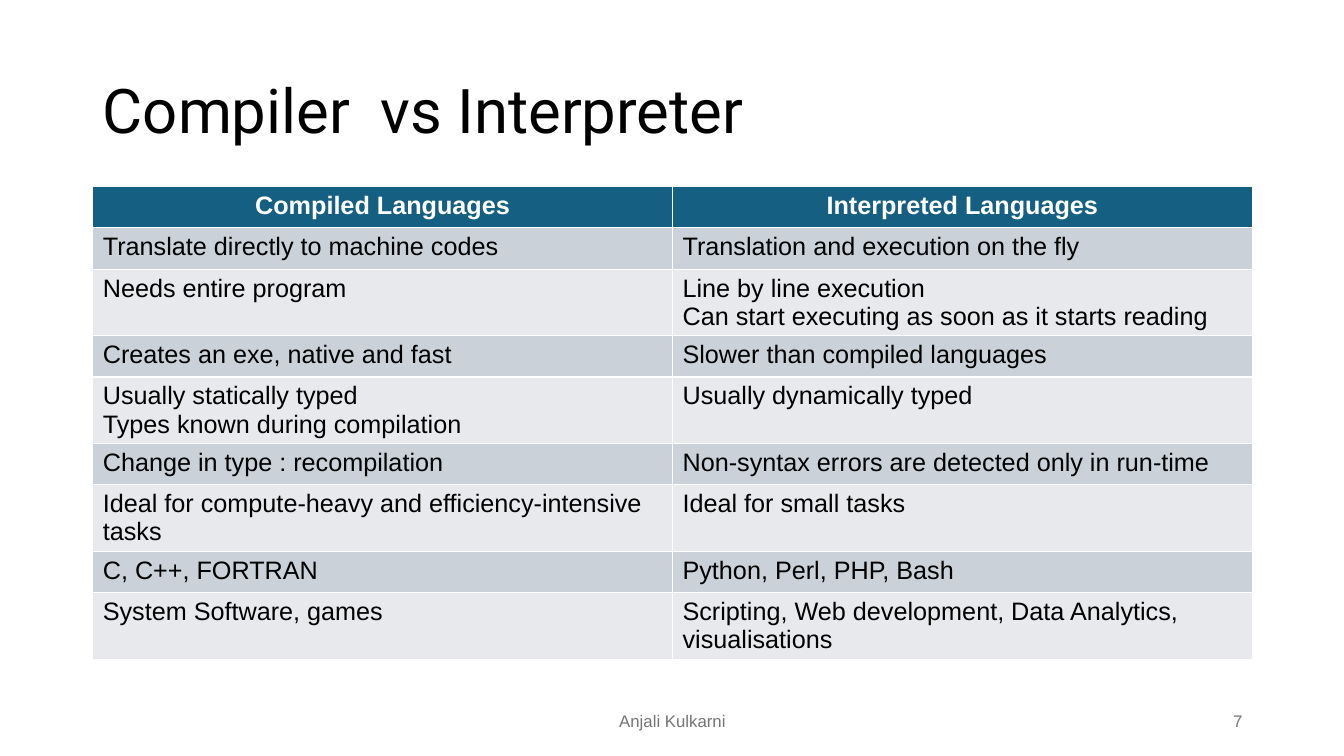
from pptx import Presentation
from pptx.dml.color import RGBColor as RGB
from pptx.enum.text import MSO_ANCHOR as ANCHOR, PP_ALIGN as ALIGN
from pptx.util import Pt

PX = 9144
COLORS = {
    "header": "156082",
    "odd": "CAD1D8",
    "even": "E7E9EC",
    "white": "FFFFFF",
    "black": "000000",
    "gray": "757575",
}
ROWS = [
    ("Compiled Languages", "Interpreted Languages"),
    ("Translate directly to machine codes", "Translation and execution on the fly"),
    ("Needs entire program",
     "Line by line execution\nCan start executing as soon as it starts reading"),
    ("Creates an exe, native and fast", "Slower than compiled languages"),
    ("Usually statically typed\nTypes known during compilation", "Usually dynamically typed"),
    ("Change in type : recompilation", "Non-syntax errors are detected only in run-time"),
    ("Ideal for compute-heavy and efficiency-intensive tasks", "Ideal for small tasks"),
    ("C, C++, FORTRAN", "Python, Perl, PHP, Bash"),
    ("System Software, games", "Scripting, Web development, Data Analytics, visualisations"),
]
FOOTERS = [
    ("Anjali Kulkarni", 442, 450, ALIGN.CENTER),
    ("7", 942, 300, ALIGN.RIGHT),
]


def box(*lengths):
    return [n * PX for n in lengths]


def style(p, size, color, align=ALIGN.LEFT, name="Arial", bold=False):
    p.alignment = align
    p.font.size = Pt(size)
    p.font.name = name
    p.font.bold = bold
    p.font.color.rgb = RGB.from_string(COLORS[color])


prs = Presentation()
prs.slide_width, prs.slide_height = box(1333, 750)
s = prs.slides.add_slide(prs.slide_layouts[5])

title = s.shapes.title
title.left, title.top, title.width, title.height = box(92, 40, 1150, 145)
tf = title.text_frame
tf.text = "Compiler  vs Interpreter"
tf.vertical_anchor = ANCHOR.MIDDLE
p = tf.paragraphs[0]
p.line_spacing = 0.9
style(p, 44, "black", name="Roboto")

row_height = 41
table = s.shapes.add_table(len(ROWS), 2, *box(92, 185, 1150, row_height * len(ROWS))).table
for i, row in enumerate(ROWS):
    table.rows[i].height = row_height * PX
    fill = "header" if i == 0 else "odd" if i % 2 else "even"
    for j, text in enumerate(row):
        cell = table.cell(i, j)
        cell.text = text
        cell.fill.solid()
        cell.fill.fore_color.rgb = RGB.from_string(COLORS[fill])
        for p in cell.text_frame.paragraphs:
            if i == 0:
                style(p, 18, "white", ALIGN.CENTER, bold=True)
            else:
                style(p, 18, "black")

for text, left, width, align in FOOTERS:
    tf = s.shapes.add_textbox(*box(left, 695, width, 40)).text_frame
    tf.text = text
    tf.word_wrap = True
    tf.vertical_anchor = ANCHOR.MIDDLE
    style(tf.paragraphs[0], 12, "gray", align)

prs.save("out.pptx")
